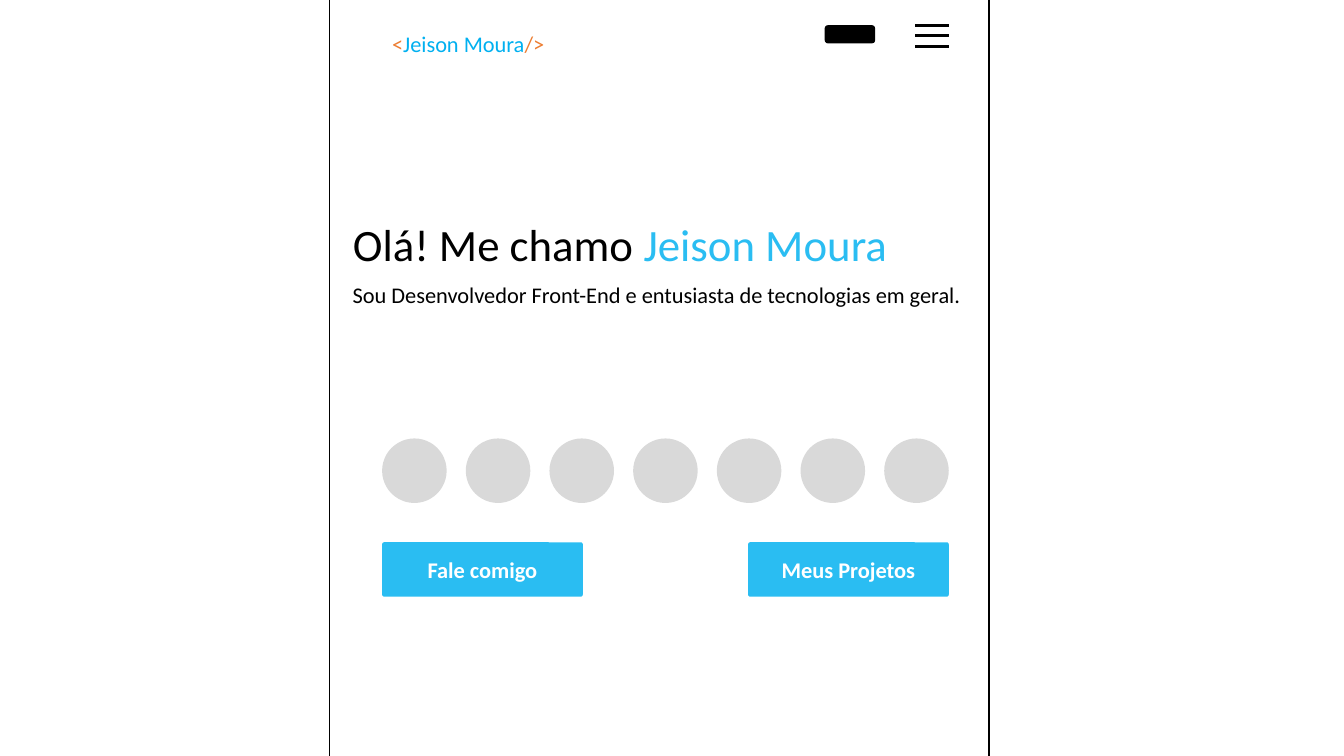
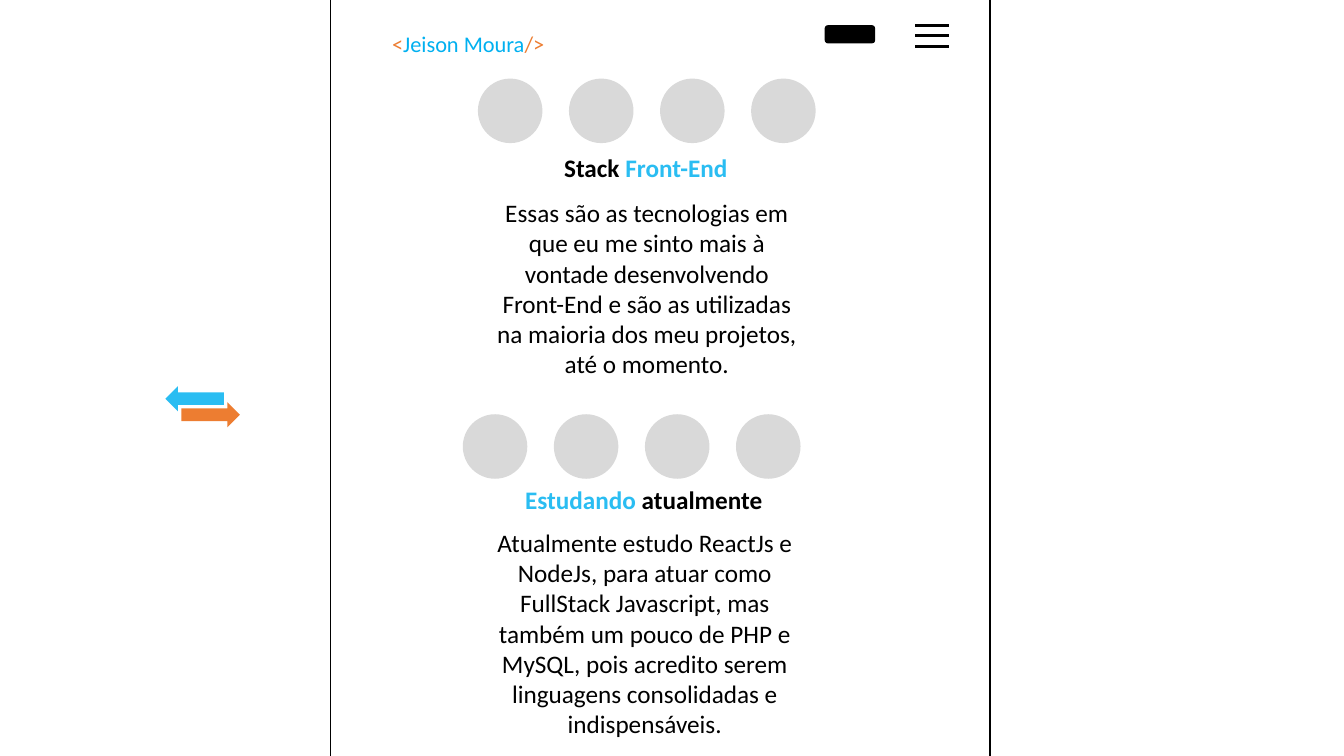
import pptx
import pptx.util
import pptx.dml.color
import pptx.enum.shapes
import pptx.enum.text
import lxml.etree

Inches = pptx.util.Inches
SHAPE = pptx.enum.shapes.MSO_SHAPE
ALIGN = pptx.enum.text.PP_ALIGN
ANCHOR = pptx.enum.text.MSO_ANCHOR

FONT = "Calibri"
COLORS = {
    "ink": "000000",
    "white": "FFFFFF",
    "accent": "2ABDF2",
    "brand": "00B0F0",
    "orange": "ED7D31",
    "icon": "D9D9D9",
}
AUTHOR = "Jeison Moura"
ICON_SIZE = 0.64
LINE_HEIGHT = 0.37


def rgb(name):
    return pptx.dml.color.RGBColor.from_string(COLORS[name])


def filled(shapes, kind, left, top, width, height, color):
    shape = shapes.add_shape(kind, Inches(left), Inches(top), Inches(width), Inches(height))
    shape.shadow.inherit = False
    shape.fill.solid()
    shape.fill.fore_color.rgb = rgb(color)
    shape.line.fill.background()
    return shape


def write(frame, paragraphs, size, bold=False, align=ALIGN.LEFT):
    """Fill a frame with paragraphs, each a list of (text, colour) runs."""
    for index, runs in enumerate(paragraphs):
        paragraph = frame.add_paragraph() if index else frame.paragraphs[0]
        paragraph.alignment = align
        paragraph.font.name = FONT
        paragraph.font.size = pptx.util.Pt(size)
        paragraph.font.bold = bold
        for text, color in runs:
            run = paragraph.add_run()
            run.text = text
            run.font.color.rgb = rgb(color)


def text_area(slide, box, paragraphs, size, bold=False, align=ALIGN.LEFT,
              wrap=False, is_title=False):
    left, top, width, height = (Inches(value) for value in box)
    if is_title:
        area = slide.shapes.title
        area.left, area.top, area.width, area.height = left, top, width, height
    else:
        area = slide.shapes.add_textbox(left, top, width, height)
    frame = area.text_frame
    frame.word_wrap = wrap
    frame.auto_size = pptx.enum.text.MSO_AUTO_SIZE.SHAPE_TO_FIT_TEXT
    frame.vertical_anchor = ANCHOR.TOP
    write(frame, paragraphs, size, bold, align)


def page_frame(slide, left, top=-0.18, width=6.54, height=7.86):
    frame = slide.shapes.add_shape(
        SHAPE.RECTANGLE, Inches(left), Inches(top), Inches(width), Inches(height))
    frame.shadow.inherit = False
    frame.fill.background()
    frame.line.color.rgb = rgb("ink")
    frame.line.width = pptx.util.Pt(1)


def menu_icon(slide, left, top, width=0.33, pitch=0.105):
    bars = slide.shapes.add_group_shape().shapes
    for row in range(3):
        y = Inches(top + row * pitch)
        bar = bars.add_connector(pptx.enum.shapes.MSO_CONNECTOR.STRAIGHT,
                                 Inches(left), y, Inches(left + width), y)
        bar.line.color.rgb = rgb("ink")
        bar.line.width = pptx.util.Pt(2.25)
        lxml.etree.SubElement(bar._element.spPr, pptx.oxml.ns.qn("a:effectLst"))


def header(slide, left=3.79, top=0.25, width=5.62):
    signature = [("<", "orange"), (AUTHOR, "brand"), ("/>", "orange")]
    text_area(slide, (left, top, 1.75, LINE_HEIGHT), [signature], 16)
    right = left + width
    filled(slide.shapes, SHAPE.ROUNDED_RECTANGLE, right - 1.23, top, 0.5, 0.18, "ink")
    menu_icon(slide, right - 0.33, top)


def icon_row(slide, left, top, width, count):
    """Spread round icons evenly from edge to edge of the given width."""
    icons = slide.shapes.add_group_shape().shapes
    pitch = (width - ICON_SIZE) / (count - 1)
    for index in range(count):
        filled(icons, SHAPE.OVAL, left + index * pitch, top, ICON_SIZE, ICON_SIZE, "icon")


def button(slide, left, top, width, height, label):
    shape = filled(slide.shapes, SHAPE.ROUNDED_RECTANGLE, left, top, width, height, "accent")
    shape.adjustments[0] = 0.04
    shape.text_frame.vertical_anchor = ANCHOR.MIDDLE
    write(shape.text_frame, [[(label, "white")]], 16, True, ALIGN.CENTER)


def greeting(slide, left, top):
    text_area(slide, (left, top, 5.55, 0.64),
              [[("Olá! Me chamo ", "ink"), (AUTHOR, "accent")]], 32, is_title=True)
    text_area(slide, (left, top + 0.64, 6.26, LINE_HEIGHT),
              [[("Sou Desenvolvedor Front-End e entusiasta de tecnologias em geral.", "ink")]], 16)


def contact_area(slide, left, top, width):
    button_width, button_top = 1.99, top + 1.03
    icon_row(slide, left, top, width, 7)
    button(slide, left, button_top, button_width, 0.54, "Fale comigo")
    button(slide, left + width - button_width, button_top, button_width, 0.54, "Meus Projetos")


def skill_section(slide, box, heading, heading_width, heading_drop, body, body_drop,
                  icon_shift=0, is_title=False):
    """Icons over a centred heading and a text; drops are measured from the top of the box."""
    left, top, width, height = box
    icon_row(slide, left + icon_shift, top, width, 4)
    heading_left = left + (width - heading_width) / 2
    text_area(slide, (heading_left, top + heading_drop, heading_width, 0.4),
              [heading], 18, bold=True, is_title=is_title)
    text_area(slide, (left, top + body_drop, width, height - body_drop),
              [[(text, "ink")] for text in body], 18, align=ALIGN.CENTER, wrap=True)


def swap_arrows(slide, left, top):
    arrows = slide.shapes.add_group_shape().shapes
    filled(arrows, SHAPE.LEFT_ARROW, left, top, 0.58, 0.25, "accent")
    filled(arrows, SHAPE.RIGHT_ARROW, left + 0.16, top + 0.16, 0.58, 0.25, "orange")


def home_slide(slide):
    page_frame(slide, 3.27)
    header(slide)
    greeting(slide, 3.4, 2.1)
    contact_area(slide, 3.79, 4.35, 5.62)


def skills_slide(slide):
    page_frame(slide, 3.28)
    header(slide)
    skill_section(
        slide, (4.74, 0.78, 3.35, 3.05),
        [("Stack ", "ink"), ("Front-End", "accent")], 1.84, 0.68,
        ["Essas são as tecnologias em que eu me sinto mais à vontade desenvolvendo",
         "Front-End e são as utilizadas na maioria dos meu projetos, até o momento."],
        1.13, is_title=True)
    skill_section(
        slide, (4.72, 4.11, 3.35, 3.29),
        [("Estudando", "accent"), (" atualmente", "ink")], 2.57, 0.65,
        ["Atualmente estudo ReactJs e NodeJs, para atuar como FullStack Javascript, "
         "mas também um pouco de PHP e MySQL, pois acredito serem linguagens "
         "consolidadas e indispensáveis."],
        1.07, icon_shift=-0.13)
    swap_arrows(slide, 1.64, 3.83)


def main():
    deck = pptx.Presentation()
    deck.slide_width, deck.slide_height = Inches(13.33), Inches(7.5)
    title_only = deck.slide_layouts[5]
    for build in (home_slide, skills_slide):
        build(deck.slides.add_slide(title_only))
    deck.save("out.pptx")


if __name__ == "__main__":
    main()
